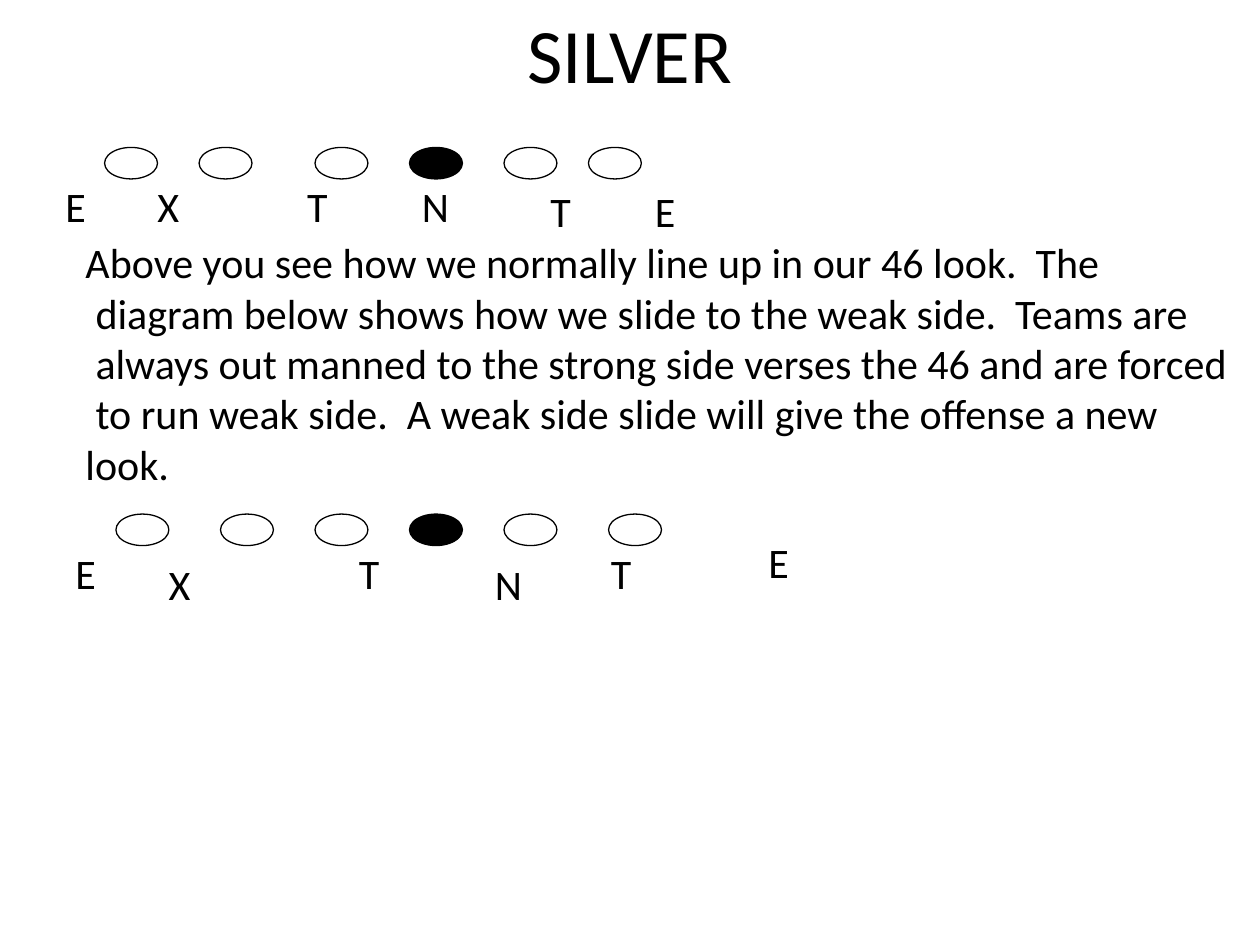
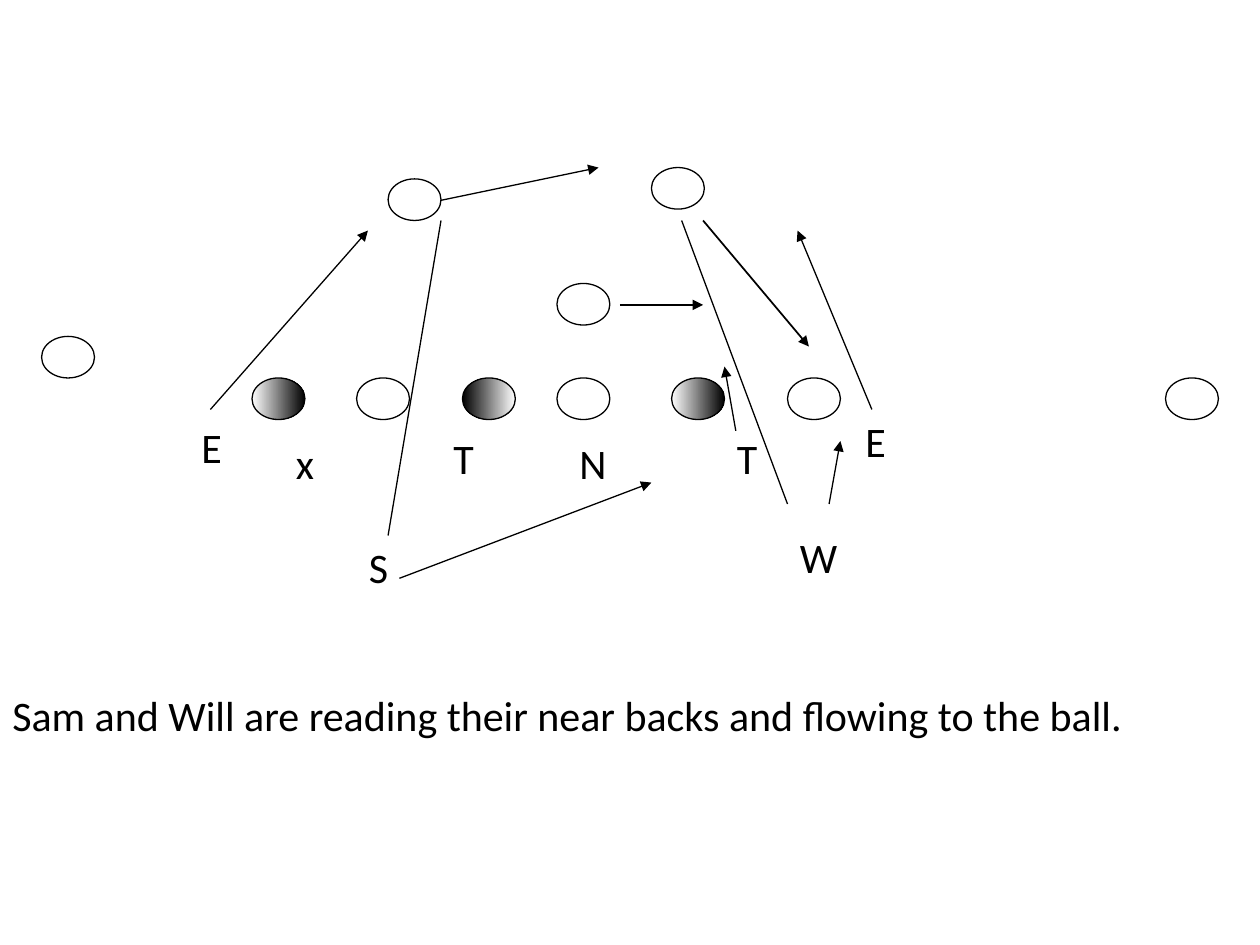
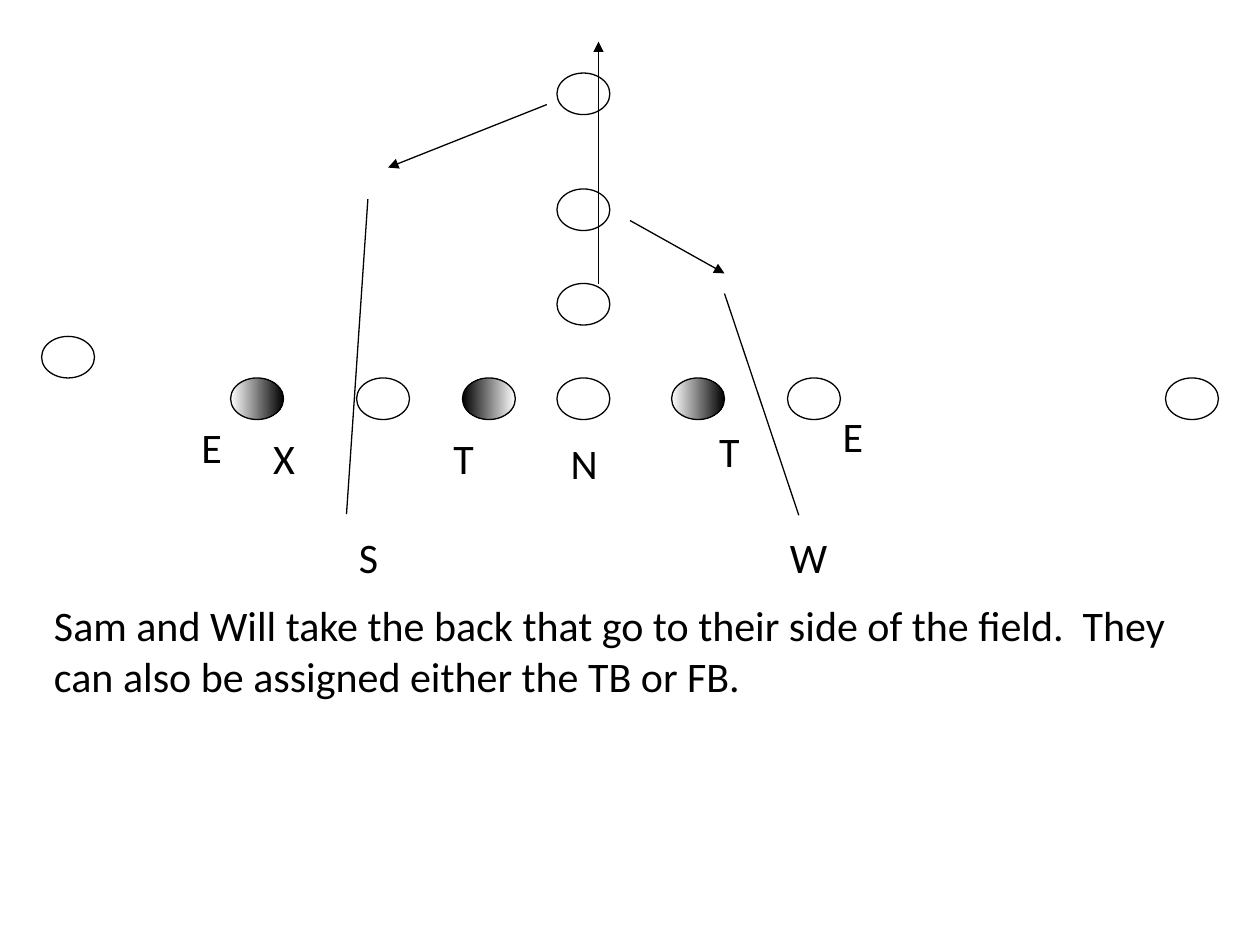
import pptx
import pptx.dml.color
import pptx.enum.shapes
import pptx.enum.text
import pptx.oxml.ns
import pptx.util
from lxml import etree

Inches = pptx.util.Inches
Pt = pptx.util.Pt

COLORS = {"ink": "000000", "paper": "FFFFFF"}
FONT = "Calibri"
OVAL_WIDTH = 0.42
LETTER_HEIGHT = 0.5
LETTER_WIDTHS = {"E": 0.36, "T": 0.36, "X": 0.37, "x": 0.34,
                 "N": 0.41, "S": 0.42, "W": 0.52}

# Oval fills: one colour, or two for a gradient from left to right
OPEN, SOLID = ("paper",), ("ink",)
DARK_RIGHT, DARK_LEFT = ("paper", "ink"), ("ink", "paper")

# Offense shared by the two play diagrams: (left, top, fill)
OFFENSE = [
    (4.42, 3, OPEN), (5.33, 3, DARK_RIGHT), (6.25, 3, OPEN),
    (3.67, 3, DARK_LEFT), (2.83, 3, OPEN), (0.33, 2.67, OPEN),
    (9.25, 3, OPEN), (4.42, 2.25, OPEN),
]


def offensive_line(top, lefts):
    """Six linemen in a row, the fourth one being the center."""
    return [(left, top, SOLID if place == 3 else OPEN)
            for place, left in enumerate(lefts)]


# letters: (letter, left, top); arrows and reads: (x1, y1, x2, y2[, weight])
SLIDES = [
    {
        "title": "SILVER",
        "oval_height": 0.25,
        "ovals": offensive_line(1.17, [0.83, 1.58, 2.5, 3.25, 4, 4.67])
        + offensive_line(4.08, [0.92, 1.75, 2.5, 3.25, 4, 4.83]),
        "letters": [
            ("E", 0.42, 1.38), ("X", 1.15, 1.38), ("T", 2.34, 1.38),
            ("N", 3.25, 1.38), ("T", 4.27, 1.42), ("E", 5.1, 1.42),
            ("E", 0.5, 4.3), ("X", 1.24, 4.38), ("T", 2.75, 4.3),
            ("N", 3.83, 4.38), ("T", 4.75, 4.3), ("E", 6, 4.21),
        ],
        "note": [
            "Above you see how we normally line up in our 46 look.  The",
            "diagram below shows how we slide to the weak side.  Teams are",
            "always out manned to the strong side verses the 46 and are forced",
            "to run weak side.  A weak side slide will give the offense a new look.",
        ],
        "note_at": (0.58, 1.83, 9.42, 2.5),
        "note_indent": 0.08,
        "arrows": [],
        "reads": [],
    },
    {
        "oval_height": 0.33,
        "ovals": OFFENSE + [(2, 3, DARK_RIGHT), (3.08, 1.42, OPEN),
                            (5.17, 1.33, OPEN)],
        "letters": [
            ("E", 1.5, 3.3), ("x", 2.25, 3.42), ("T", 3.5, 3.38),
            ("N", 4.5, 3.42), ("T", 5.75, 3.38), ("E", 6.77, 3.25),
            ("S", 2.83, 4.25), ("W", 6.25, 4.17),
        ],
        "note": ["Sam and Will are reading their near backs and flowing to the ball."],
        "note_at": (0, 5.42, 10, 0.5),
        "arrows": [
            (3.5, 1.59, 4.75, 1.33), (5.84, 3.42, 5.75, 2.91),
            (6.92, 3.25, 6.33, 1.83), (5.58, 1.75, 6.42, 2.75, 1),
            (1.67, 3.25, 2.92, 1.83), (4.92, 2.42, 5.58, 2.42),
            (3.17, 4.59, 5.17, 3.83), (6.58, 4, 6.67, 3.5),
        ],
        "reads": [(3.08, 4.25, 3.5, 1.75), (6.25, 4, 5.41, 1.75)],
    },
    {
        "oval_height": 0.33,
        "ovals": OFFENSE + [(1.83, 3, DARK_RIGHT), (4.42, 1.5, OPEN),
                            (4.42, 0.58, OPEN)],
        "letters": [
            ("E", 1.5, 3.3), ("X", 2.07, 3.38), ("T", 3.5, 3.38),
            ("N", 4.43, 3.42), ("T", 5.61, 3.33), ("E", 6.59, 3.21),
            ("S", 2.75, 4.17), ("W", 6.17, 4.17),
        ],
        "note": [
            "Sam and Will take the back that go to their side of the field.  They",
            "can also be assigned either the TB or FB.",
        ],
        "note_at": (0.33, 4.71, 9.12, 0.9),
        "arrows": [(4.75, 2.25, 4.75, 0.33), (5, 1.75, 5.75, 2.17),
                   (4.34, 0.83, 3.08, 1.33)],
        "reads": [(6.34, 4.09, 5.75, 2.33), (2.75, 4.08, 2.92, 1.58)],
    },
]


def color(name):
    return pptx.dml.color.RGBColor.from_string(COLORS[name])


def write(box, lines, size=24, align=pptx.enum.text.PP_ALIGN.LEFT, indent=0):
    """Fill a box with paragraphs; indent moves each one after the first."""
    frame = box.text_frame
    frame.word_wrap = True
    frame.vertical_anchor = pptx.enum.text.MSO_ANCHOR.TOP
    for number, line in enumerate(lines):
        para = frame.add_paragraph() if number else frame.paragraphs[0]
        if number and indent:
            para._p.get_or_add_pPr().set("indent", str(Inches(indent)))
        para.alignment = align
        span = para.add_run()
        span.text = line
        span.font.name = FONT
        span.font.size = Pt(size)
        span.font.color.rgb = color("ink")


def add_text(page, lines, at, **style):
    box = page.shapes.add_textbox(*map(Inches, at))
    write(box, lines, **style)
    box.text_frame.auto_size = pptx.enum.text.MSO_AUTO_SIZE.SHAPE_TO_FIT_TEXT


def add_title(page, text):
    title = page.shapes.title
    title.left, title.top, title.width, title.height = map(
        Inches, (0.75, 0, 8.5, 1))
    write(title, [text], size=44, align=pptx.enum.text.PP_ALIGN.CENTER)


def add_oval(page, left, top, height, fill):
    oval = page.shapes.add_shape(
        pptx.enum.shapes.MSO_SHAPE.OVAL,
        *map(Inches, (left, top, OVAL_WIDTH, height)))
    oval.shadow.inherit = False
    oval.line.color.rgb = color("ink")
    oval.line.width = Pt(0.75)
    if len(fill) == 1:
        oval.fill.solid()
        oval.fill.fore_color.rgb = color(fill[0])
    else:
        oval.fill.gradient()
        oval.fill.gradient_angle = 0
        for stop, name in zip(oval.fill.gradient_stops, fill):
            stop.color.rgb = color(name)


def add_line(page, x1, y1, x2, y2, weight=0.75, arrow=False):
    line = page.shapes.add_connector(
        pptx.enum.shapes.MSO_CONNECTOR.STRAIGHT,
        *map(Inches, (x1, y1, x2, y2)))
    line.line.color.rgb = color("ink")
    line.line.width = Pt(weight)
    qn = pptx.oxml.ns.qn
    if arrow:
        etree.SubElement(line.line._get_or_add_ln(), qn("a:tailEnd"),
                         type="triangle")
    etree.SubElement(line._element.spPr, qn("a:effectLst"))


def build_slide(deck, content):
    layout = deck.slide_layouts[5 if "title" in content else 6]
    page = deck.slides.add_slide(layout)
    if "title" in content:
        add_title(page, content["title"])
    for left, top, fill in content["ovals"]:
        add_oval(page, left, top, content["oval_height"], fill)
    for letter, left, top in content["letters"]:
        add_text(page, [letter],
                 (left, top, LETTER_WIDTHS[letter], LETTER_HEIGHT))
    add_text(page, content["note"], content["note_at"],
             indent=content.get("note_indent", 0))
    for arrow in content["arrows"]:
        add_line(page, *arrow, arrow=True)
    for read in content["reads"]:
        add_line(page, *read)


def main():
    deck = pptx.Presentation()
    deck.slide_width, deck.slide_height = Inches(10), Inches(7.5)
    for content in SLIDES:
        build_slide(deck, content)
    deck.save("out.pptx")


if __name__ == "__main__":
    main()
